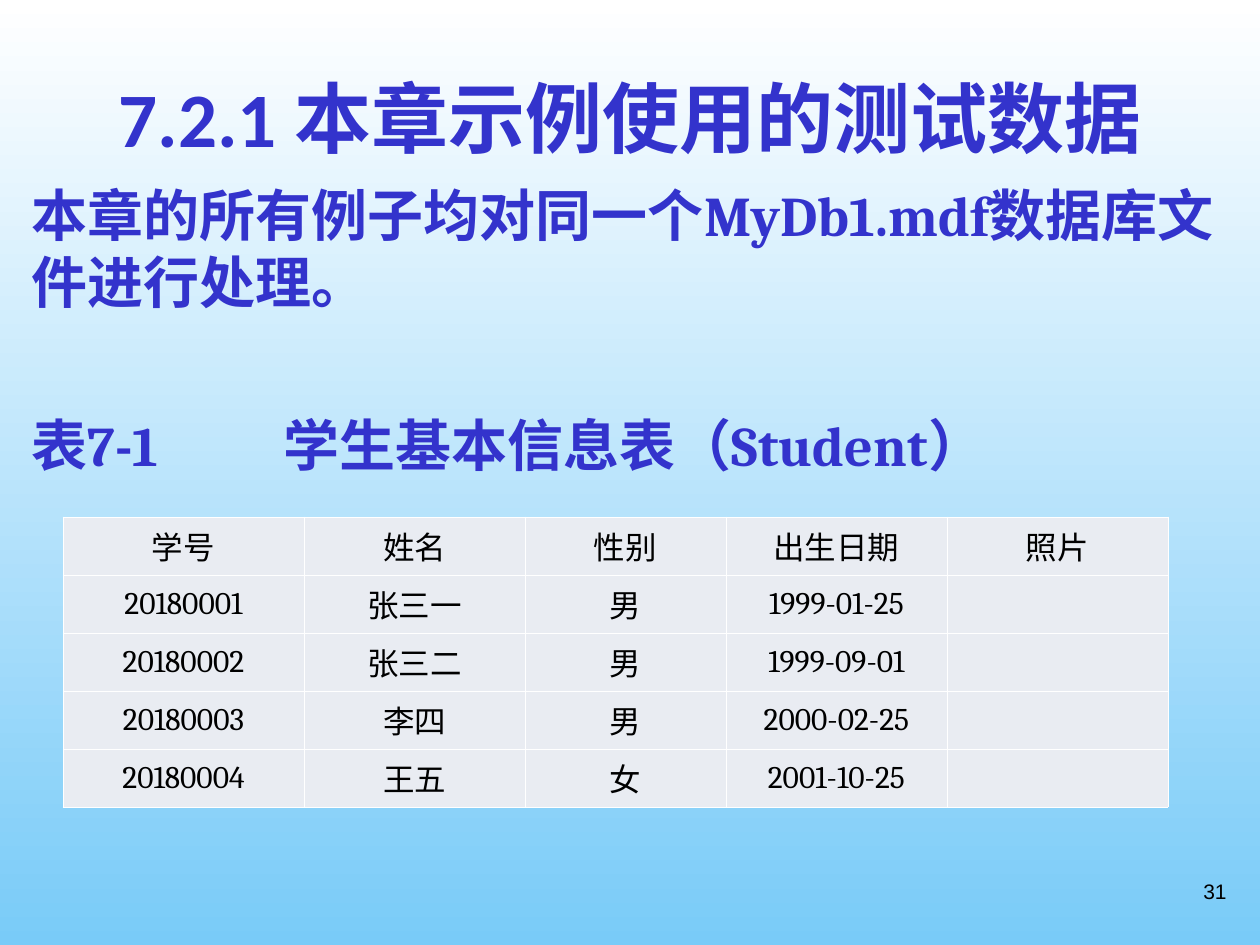
"""Build the slide that presents the student table used as test data."""
from lxml.etree import SubElement
from pptx import Presentation
from pptx.dml.color import RGBColor
from pptx.enum.text import MSO_ANCHOR, PP_ALIGN
from pptx.oxml.ns import qn
from pptx.util import Emu, Pt

TITLE = "7.2.1 本章示例使用的测试数据"
BODY = [
    ("本章的所有例子均对同一个MyDb1.mdf数据库文件进行处理。", 0),
    ("表7-1\t学生基本信息表（Student）", 55),
]
STUDENTS = [
    ("学号", "姓名", "性别", "出生日期", "照片"),
    ("20180001", "张三一", "男", "1999-01-25", ""),
    ("20180002", "张三二", "男", "1999-09-01", ""),
    ("20180003", "李四", "男", "2000-02-25", ""),
    ("20180004", "王五", "女", "2001-10-25", ""),
]
PAGE_NUMBER = "31"
COLUMN_WIDTHS = (241, 221, 201, 221, 221)
ROW_HEIGHT = 58
BLUE, BLACK, WHITE, CELL_FILL, SKY = "3333CC", "000000", "FFFFFF", "E9ECF2", "79CBF8"


def px(length):
    return Emu(round(length * 914400 / 126))


def color(value):
    return RGBColor.from_string(value)


def place(shape, left, top, width, height):
    shape.left, shape.top = px(left), px(top)
    shape.width, shape.height = px(width), px(height)


def write(paragraph, text, font_name, size, text_color, bold=False, align=PP_ALIGN.LEFT):
    paragraph.alignment = align
    for index, part in enumerate(text.split("\t")):
        run = paragraph.add_run()
        run.text = "\t" + part if index else part
        run.font.name, run.font.size, run.font.bold = font_name, Pt(size), bold
        run.font.color.rgb = color(text_color)


def add_text_box(slide, *box):
    frame = slide.shapes.add_textbox(*map(px, box)).text_frame
    frame.word_wrap = True
    return frame


def add_tab(paragraph, position):
    tabs = SubElement(paragraph._p.get_or_add_pPr(), qn("a:tabLst"))
    SubElement(tabs, qn("a:tab"), pos=str(px(position)), algn="l")


def add_borders(cell):
    properties = cell._tc.get_or_add_tcPr()
    for side in ("lnL", "lnR", "lnT", "lnB"):
        line = SubElement(properties, qn(f"a:{side}"), w=str(Pt(0.45)))
        SubElement(SubElement(line, qn("a:solidFill")), qn("a:srgbClr"), val=WHITE)


def format_cell(cell, text):
    add_borders(cell)
    cell.fill.solid()
    cell.fill.fore_color.rgb = color(CELL_FILL)
    cell.margin_left = cell.margin_right = px(9)
    cell.margin_top = cell.margin_bottom = px(6)
    cell.vertical_anchor = MSO_ANCHOR.MIDDLE
    if text:
        paragraph = cell.text_frame.paragraphs[0]
        paragraph.space_after = Pt(1.2)
        write(paragraph, text, "Cambria", 18, BLACK, align=PP_ALIGN.CENTER)


def add_student_table(slide):
    table = slide.shapes.add_table(
        len(STUDENTS), len(COLUMN_WIDTHS), px(63), px(517),
        px(sum(COLUMN_WIDTHS)), px(ROW_HEIGHT * len(STUDENTS))).table
    table.first_row = table.horz_banding = False
    for column, width in zip(table.columns, COLUMN_WIDTHS):
        column.width = px(width)
    for row, values in zip(table.rows, STUDENTS):
        row.height = px(ROW_HEIGHT)
        for cell, value in zip(row.cells, values):
            format_cell(cell, value)


def main():
    presentation = Presentation()
    presentation.slide_width, presentation.slide_height = px(1260), px(945)
    slide = presentation.slides.add_slide(presentation.slide_layouts[5])

    background = slide.background.fill
    background.gradient()
    background.gradient_angle = 270
    for stop, position, value in zip(background.gradient_stops, (0, 1), (WHITE, SKY)):
        stop.position, stop.color.rgb = position, color(value)

    number = add_text_box(slide, 945, 872, 294, 63)
    write(number.paragraphs[0], PAGE_NUMBER, "Arial", 12, BLACK, align=PP_ALIGN.RIGHT)

    title = slide.shapes.title
    place(title, 32, 38, 1197, 158)
    title.text_frame.vertical_anchor = MSO_ANCHOR.MIDDLE
    write(title.text_frame.paragraphs[0], TITLE, "Calibri", 44, BLUE, True, PP_ALIGN.CENTER)

    body = add_text_box(slide, 19, 174, 1218, 728)
    for index, (text, space_before) in enumerate(BODY):
        paragraph = body.add_paragraph() if index else body.paragraphs[0]
        if space_before:
            paragraph.space_before = Pt(space_before)
        if "\t" in text:
            add_tab(paragraph, 252)
        write(paragraph, text, "Cambria", 32, BLUE, True)

    add_student_table(slide)
    presentation.save("out.pptx")


if __name__ == "__main__":
    main()
